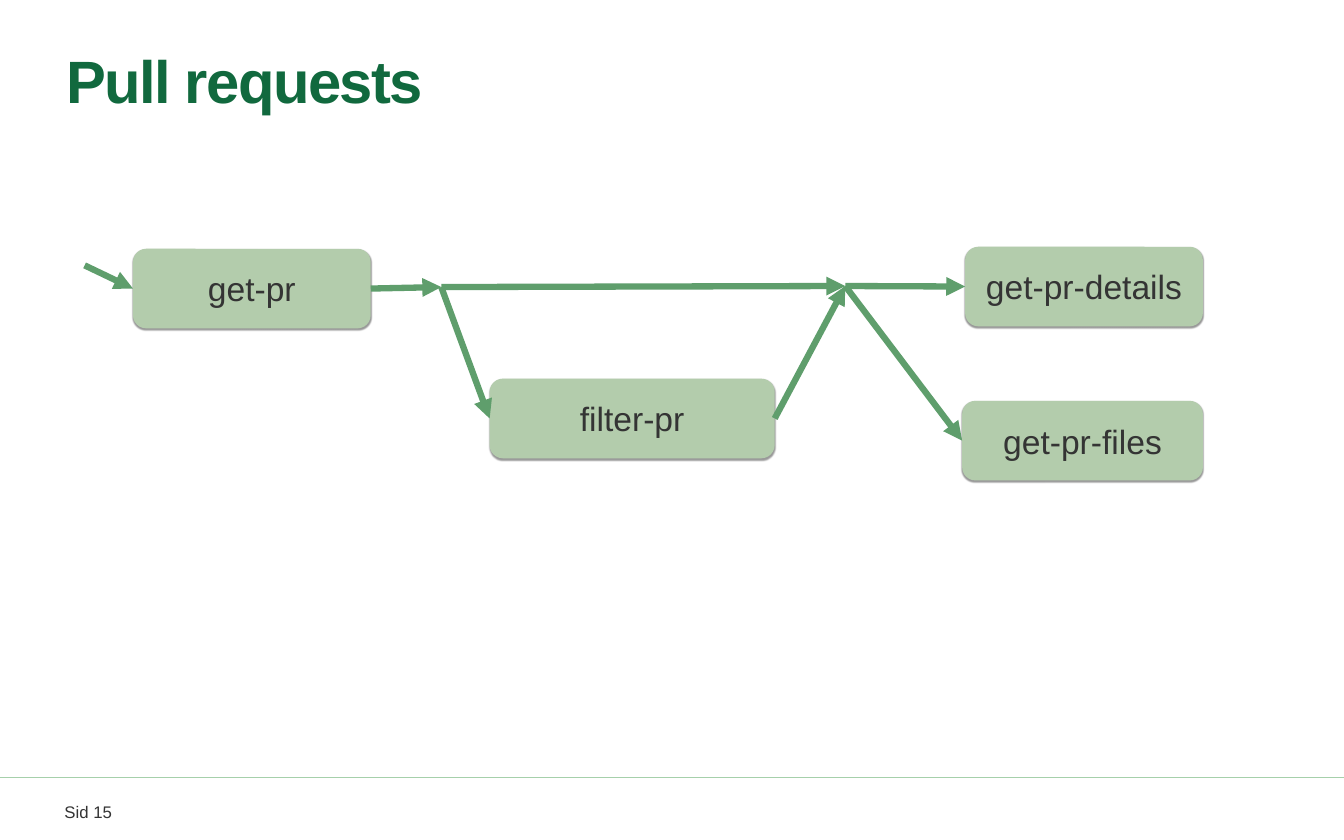
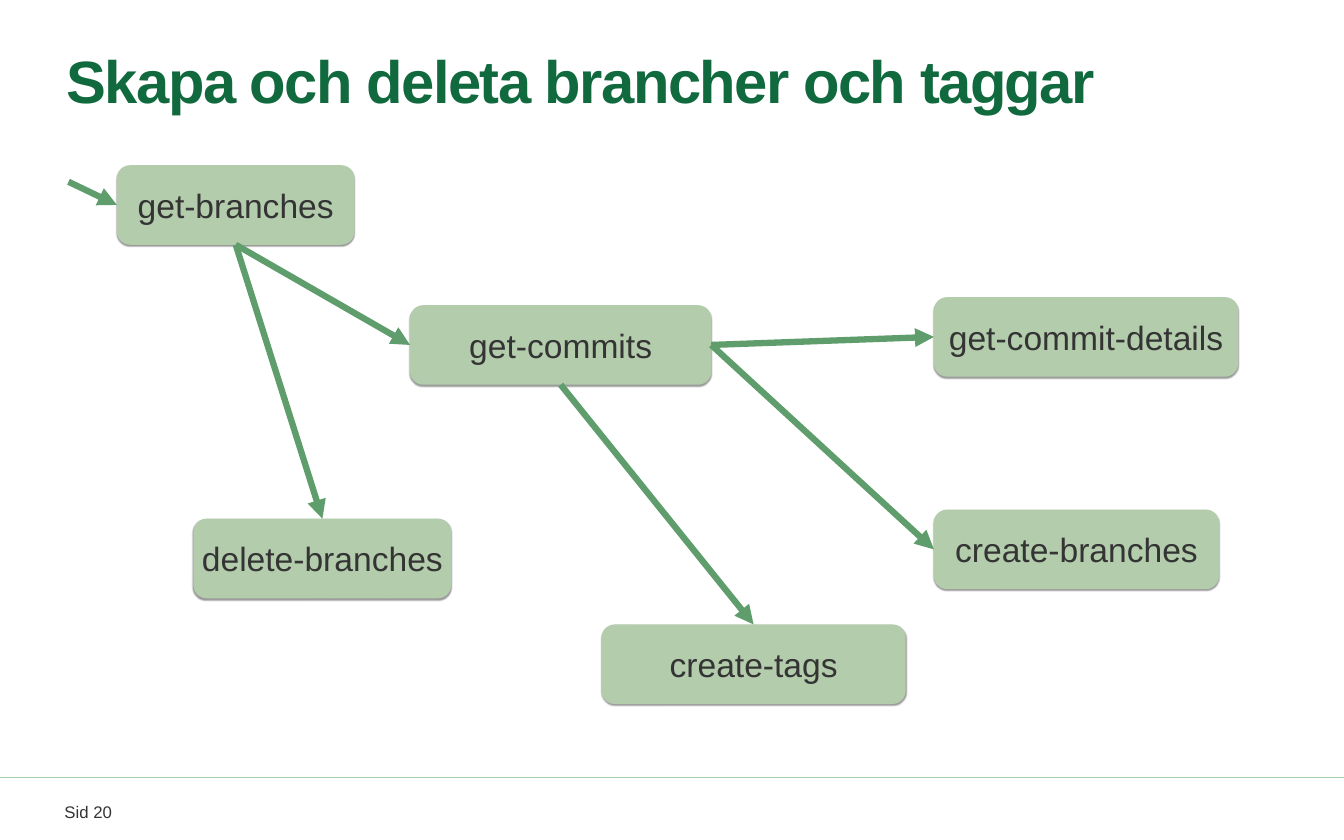
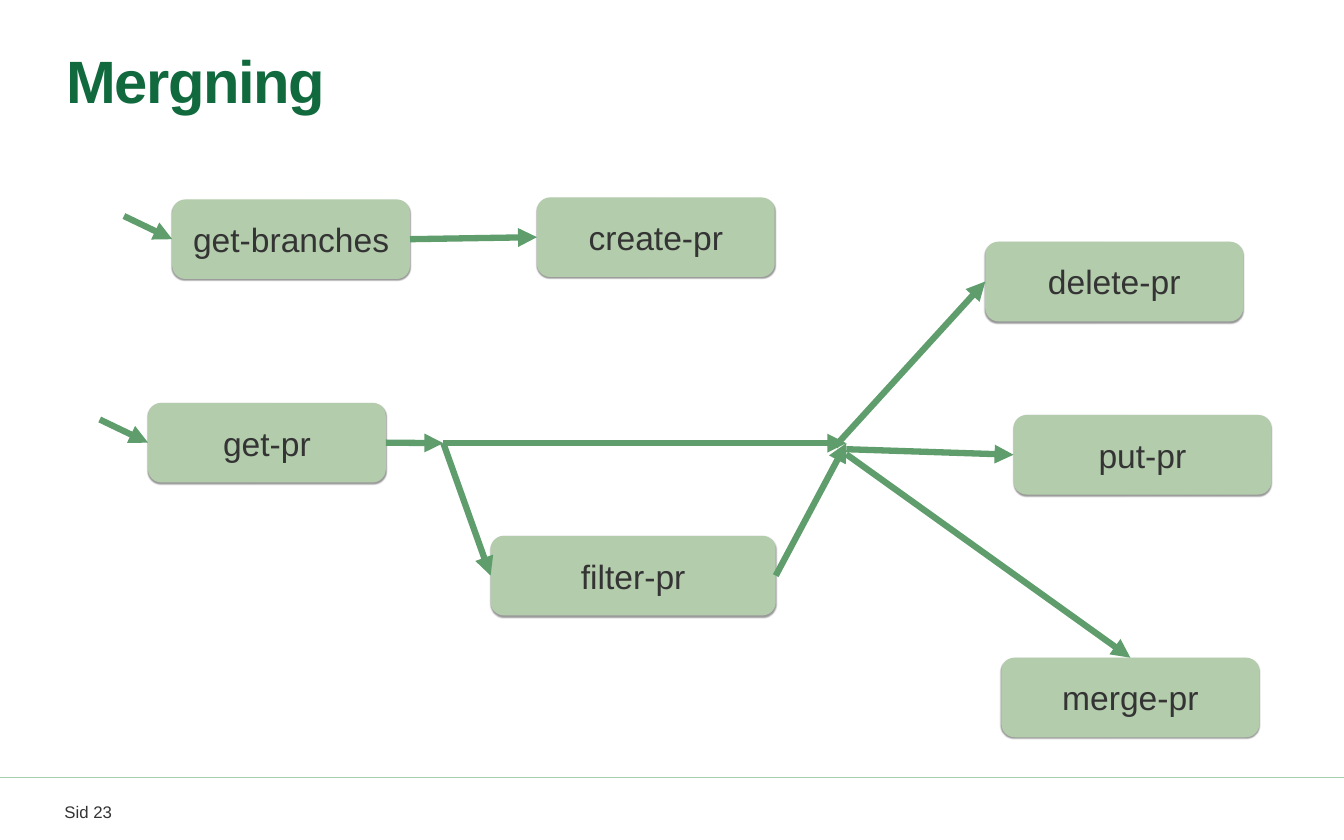
"""Build three flow diagrams of pull request, branch and merge commands."""
from dataclasses import dataclass
from enum import IntEnum
from typing import NamedTuple, Union

from lxml.etree import SubElement
from pptx import Presentation
from pptx.dml.color import RGBColor
from pptx.enum.shapes import MSO_CONNECTOR, MSO_SHAPE
from pptx.enum.text import MSO_ANCHOR, MSO_AUTO_SIZE, PP_ALIGN
from pptx.oxml.ns import qn
from pptx.util import Inches, Pt


@dataclass(frozen=True)
class Theme:
    font: str = "Arial"
    title: RGBColor = RGBColor(0x11, 0x69, 0x3E)
    text: RGBColor = RGBColor(0x34, 0x34, 0x34)
    box: RGBColor = RGBColor(0xB3, 0xCC, 0xAC)
    arrow: RGBColor = RGBColor(0x5F, 0x9E, 0x6C)
    rule: RGBColor = RGBColor(0xA6, 0xD0, 0xAB)
    paper: RGBColor = RGBColor(0xFF, 0xFF, 0xFF)
    title_size: float = 42.7
    box_size: float = 24
    footer_size: float = 12
    arrow_width: float = 4.5
    rule_width: float = 1


THEME = Theme()
WIDTH, HEIGHT = 13.34, 8.34
BAND_TOP = 7.72
BOX_HEIGHT = 0.79
ENTRY_DX, ENTRY_DY = 0.48, 0.23


class Side(IntEnum):
    TOP = 0
    LEFT = 1
    BOTTOM = 2
    RIGHT = 3


class Point(NamedTuple):
    x: float
    y: float


class Port(NamedTuple):
    box: str
    side: Side


End = Union[Point, Port]


class Box(NamedTuple):
    name: str
    left: float
    top: float
    width: float
    entry: bool = False


class Arrow(NamedTuple):
    start: End
    end: End


@dataclass(frozen=True)
class Diagram:
    title: str
    page: int
    boxes: list[Box]
    arrows: list[Arrow]


def left(name: str) -> Port:
    return Port(name, Side.LEFT)


def right(name: str) -> Port:
    return Port(name, Side.RIGHT)


def top(name: str) -> Port:
    return Port(name, Side.TOP)


def bottom(name: str) -> Port:
    return Port(name, Side.BOTTOM)


def filter_arrows(fork: Point, join: Point) -> list[Arrow]:
    return [
        Arrow(right("get-pr"), fork),
        Arrow(fork, join),
        Arrow(fork, left("filter-pr")),
        Arrow(right("filter-pr"), join),
    ]


PR_FORK, PR_JOIN = Point(4.38, 2.85), Point(8.39, 2.84)
MERGE_FORK, MERGE_JOIN = Point(4.4, 4.4), Point(8.4, 4.4)

DIAGRAMS = [
    Diagram(
        "Pull requests", 15,
        [
            Box("get-pr", 1.32, 2.47, 2.36, entry=True),
            Box("get-pr-files", 9.55, 3.98, 2.39),
            Box("filter-pr", 4.86, 3.76, 2.83),
            Box("get-pr-details", 9.58, 2.45, 2.36),
        ],
        [
            *filter_arrows(PR_FORK, PR_JOIN),
            Arrow(PR_JOIN, left("get-pr-details")),
            Arrow(PR_JOIN, left("get-pr-files")),
        ],
    ),
    Diagram(
        "Skapa och deleta brancher och taggar", 20,
        [
            Box("get-branches", 1.16, 1.64, 2.36, entry=True),
            Box("create-tags", 5.97, 6.2, 3.02),
            Box("create-branches", 9.27, 5.06, 2.83),
            Box("get-commits", 4.07, 3.03, 2.99),
            Box("delete-branches", 1.92, 5.15, 2.56),
            Box("get-commit-details", 9.27, 2.95, 3.02),
        ],
        [
            Arrow(bottom("get-branches"), left("get-commits")),
            Arrow(bottom("get-branches"), top("delete-branches")),
            Arrow(right("get-commits"), left("create-branches")),
            Arrow(bottom("get-commits"), top("create-tags")),
            Arrow(right("get-commits"), left("get-commit-details")),
        ],
    ),
    Diagram(
        "Mergning", 23,
        [
            Box("delete-pr", 9.78, 2.4, 2.56),
            Box("put-pr", 10.06, 4.12, 2.56),
            Box("merge-pr", 9.94, 6.53, 2.56),
            Box("get-branches", 1.71, 1.98, 2.36, entry=True),
            Box("create-pr", 5.33, 1.96, 2.36),
            Box("get-pr", 1.47, 4, 2.36, entry=True),
            Box("filter-pr", 4.87, 5.32, 2.83),
        ],
        [
            *filter_arrows(MERGE_FORK, MERGE_JOIN),
            Arrow(Point(8.29, 4.43), left("delete-pr")),
            Arrow(Point(8.4, 4.46), left("put-pr")),
            Arrow(Point(8.4, 4.51), top("merge-pr")),
            Arrow(right("get-branches"), left("create-pr")),
        ],
    ),
]


def style_text(p, size: float, color: RGBColor, bold: bool = False) -> None:
    p.font.name = THEME.font
    p.font.size = Pt(size)
    p.font.bold = bold
    p.font.color.rgb = color


def set_margins(tf, x: float = 0, y: float = 0) -> None:
    tf.margin_left = tf.margin_right = Inches(x)
    tf.margin_top = tf.margin_bottom = Inches(y)


def add_panel(s, kind, x: float, y: float, w: float, h: float, color: RGBColor):
    sp = s.shapes.add_shape(kind, Inches(x), Inches(y), Inches(w), Inches(h))
    sp.fill.solid()
    sp.fill.fore_color.rgb = color
    sp.line.fill.background()
    sp.shadow.inherit = False
    effects = sp._element.spPr.find(qn("a:effectLst"))
    shadow = SubElement(effects, qn("a:outerShdw"), blurRad=str(Pt(1)),
                        dist=str(Pt(1)), dir="5400000", rotWithShape="0")
    tint = SubElement(shadow, qn("a:srgbClr"), val="000000")
    SubElement(tint, qn("a:alpha"), val="40000")
    return sp


def add_line(s, start: Point, end: Point, color: RGBColor, width: float):
    cxn = s.shapes.add_connector(
        MSO_CONNECTOR.STRAIGHT, *(Inches(v) for v in (*start, *end)))
    cxn.line.color.rgb = color
    cxn.line.width = Pt(width)
    SubElement(cxn._element.spPr, qn("a:effectLst"))
    return cxn


def add_box(s, box: Box):
    sp = add_panel(s, MSO_SHAPE.ROUNDED_RECTANGLE, box.left, box.top,
                   box.width, BOX_HEIGHT, THEME.box)
    tf = sp.text_frame
    tf.word_wrap = True
    tf.vertical_anchor = MSO_ANCHOR.MIDDLE
    set_margins(tf, 0.04, 0.08)
    p = tf.paragraphs[0]
    p.text = box.name
    p.alignment = PP_ALIGN.CENTER
    p.space_after = Pt(6)
    style_text(p, THEME.box_size, THEME.text)
    return sp


def add_arrow(s, arrow: Arrow, shapes: dict) -> None:
    start, end = (e if isinstance(e, Point) else Point(0, 0) for e in arrow)
    cxn = add_line(s, start, end, THEME.arrow, THEME.arrow_width)
    SubElement(cxn.line._get_or_add_ln(), qn("a:tailEnd"), type="triangle")
    for e, connect in zip(arrow, (cxn.begin_connect, cxn.end_connect)):
        if isinstance(e, Port):
            connect(shapes[e.box], e.side.value)


def add_layout_footer(s) -> None:
    band = add_panel(s, MSO_SHAPE.RECTANGLE, 0, BAND_TOP, WIDTH,
                     HEIGHT - BAND_TOP, THEME.paper)
    rule = add_line(s, Point(0, BAND_TOP), Point(WIDTH, BAND_TOP),
                    THEME.rule, THEME.rule_width)
    for item in (band, rule):
        s.slide_layout.shapes._spTree.append(item._element)


def add_title(s, text: str) -> None:
    sp = s.shapes.title
    sp.left, sp.top = Inches(0.66), Inches(0.14)
    sp.width, sp.height = Inches(11.91), Inches(1.39)
    tf = sp.text_frame
    tf.auto_size = MSO_AUTO_SIZE.NONE
    tf.vertical_anchor = MSO_ANCHOR.MIDDLE
    set_margins(tf)
    p = tf.paragraphs[0]
    p.text = text
    p.alignment = PP_ALIGN.LEFT
    p.line_spacing = 0.9
    style_text(p, THEME.title_size, THEME.title, bold=True)
    p.font._element.set("spc", "-110")


def add_page_label(s, page: int) -> None:
    sp = s.shapes.add_textbox(Inches(0.64), Inches(7.96), Inches(4.72), Inches(0.2))
    tf = sp.text_frame
    tf.word_wrap = True
    set_margins(tf)
    p = tf.paragraphs[0]
    p.text = f"Sid {page}"
    style_text(p, THEME.footer_size, THEME.text)


def draw_diagram(s, diagram: Diagram) -> None:
    add_title(s, diagram.title)
    add_page_label(s, diagram.page)
    shapes = {box.name: add_box(s, box) for box in diagram.boxes}
    entries = [
        Arrow(Point(b.left - ENTRY_DX, b.top + BOX_HEIGHT / 2 - ENTRY_DY), left(b.name))
        for b in diagram.boxes if b.entry
    ]
    for arrow in diagram.arrows + entries:
        add_arrow(s, arrow, shapes)


def main() -> None:
    prs = Presentation()
    prs.slide_width, prs.slide_height = Inches(WIDTH), Inches(HEIGHT)
    layout = prs.slide_layouts[5]
    for i, diagram in enumerate(DIAGRAMS):
        s = prs.slides.add_slide(layout)
        if i == 0:
            add_layout_footer(s)
        draw_diagram(s, diagram)
    prs.save("out.pptx")


if __name__ == "__main__":
    main()
